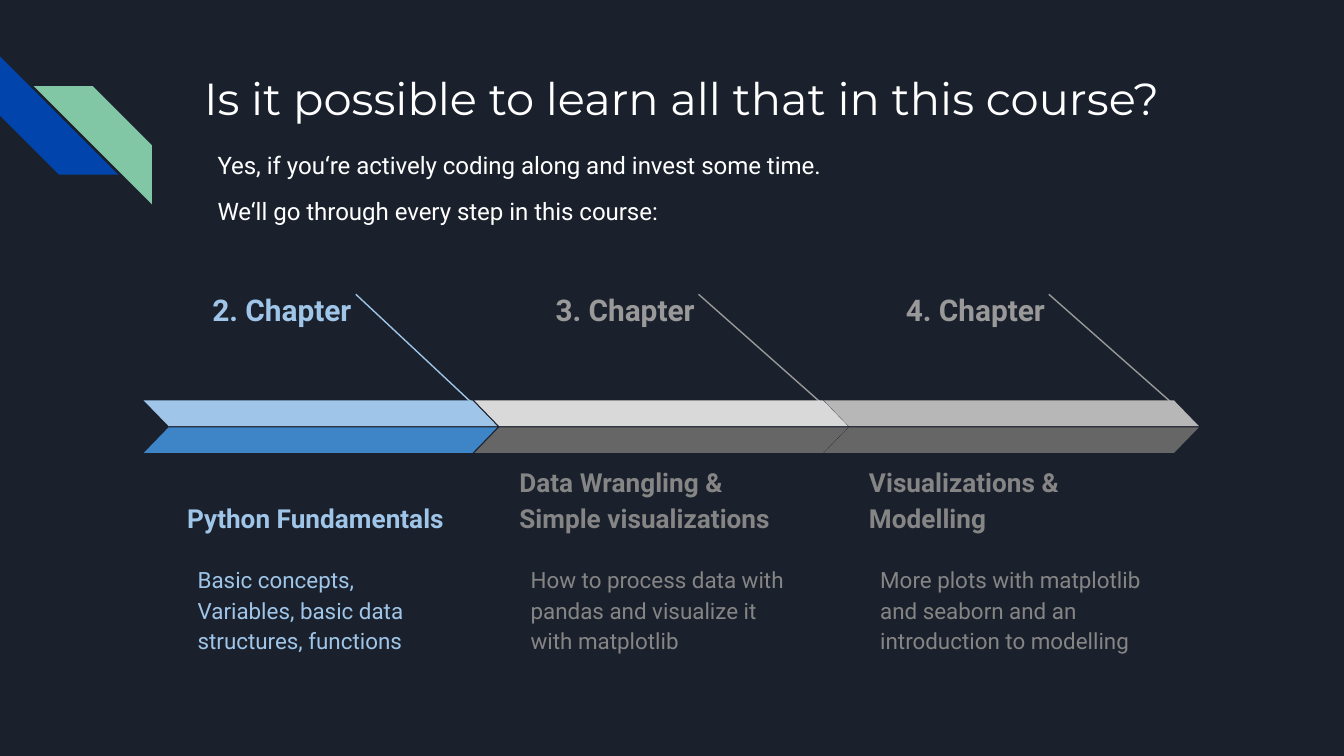
import pptx
import pptx.dml.color
import pptx.enum.shapes
import pptx.enum.text
import pptx.oxml.ns
import pptx.util
from lxml import etree

Inches = pptx.util.Inches
Pt = pptx.util.Pt
Shapes = pptx.enum.shapes.MSO_SHAPE
Align = pptx.enum.text.PP_ALIGN
Anchor = pptx.enum.text.MSO_ANCHOR

CHAPTERS = [
    {"left": 1.07, "width": 2.63, "label": "2. Chapter", "topic": "Python Fundamentals",
     "details": "Basic concepts,\vVariables, basic data structures, functions",
     "accent": "9FC5E8", "body": "9FC5E8", "upper": "9FC5E8", "lower": "3D85C6"},
    {"left": 3.53, "width": 2.78, "label": "3. Chapter",
     "topic": "Data Wrangling & Simple visualizations",
     "details": "How to process data with pandas and visualize it with matplotlib",
     "accent": "999999", "body": "858585", "upper": "D9D9D9", "lower": "666666"},
    {"left": 6.13, "width": 2.79, "label": "4. Chapter", "topic": "Visualizations & Modelling",
     "details": "More plots with matplotlib and seaborn and an introduction to modelling",
     "accent": "999999", "body": "858585", "upper": "B7B7B7", "lower": "666666"},
]


def color(hex_value):
    return pptx.dml.color.RGBColor.from_string(hex_value)


def add_text(slide, box, paragraphs, size, hex_value, font="Roboto", bold=False,
             align=Align.LEFT, anchor=Anchor.TOP, spacing=1.15, gap=0):
    shape = slide.shapes.add_textbox(*map(Inches, box))
    frame = shape.text_frame
    frame.word_wrap = True
    frame.vertical_anchor = anchor
    frame.margin_left = frame.margin_right = Inches(0.1)
    frame.margin_top = frame.margin_bottom = Inches(0.1)
    for index, text in enumerate(paragraphs):
        paragraph = frame.add_paragraph() if index else frame.paragraphs[0]
        paragraph.text = text
        paragraph.alignment = align
        paragraph.line_spacing = spacing
        if index:
            paragraph.space_before = Pt(gap)
        paragraph.font.name = font
        paragraph.font.size = Pt(size)
        paragraph.font.bold = bold
        paragraph.font.color.rgb = color(hex_value)


def add_band(slide, kind, box, adjustment, fill, flipped=False, rotation=0):
    shape = slide.shapes.add_shape(kind, *map(Inches, box))
    shape.shadow.inherit = False
    shape.adjustments[0] = adjustment
    shape.rotation = rotation
    shape.fill.solid()
    shape.fill.fore_color.rgb = color(fill)
    shape.line.fill.background()
    if flipped:
        shape._element.spPr.find(pptx.oxml.ns.qn("a:xfrm")).set("flipH", "1")


def add_line(slide, start, end, hex_value):
    connector = slide.shapes.add_connector(
        pptx.enum.shapes.MSO_CONNECTOR.STRAIGHT, *map(Inches, start + end))
    connector.line.color.rgb = color(hex_value)
    connector.line.width = Pt(0.75)
    etree.SubElement(connector._element.spPr, pptx.oxml.ns.qn("a:effectLst"))


def add_chapter(slide, chapter):
    left, width = chapter["left"], chapter["width"]

    def across(share):
        return left + share * width

    label_width = 1.36
    add_text(slide, (across(0.625) - label_width, 2.03, label_width, 0.31),
             [chapter["label"]], 16, chapter["accent"], bold=True, align=Align.RIGHT)
    add_text(slide, (across(0.085), 3.49, 0.82 * width, 0.58),
             [chapter["topic"]], 14, chapter["body"], bold=True, anchor=Anchor.BOTTOM)
    add_text(slide, (across(0.115), 4.08, 0.8 * width, 0.7),
             [chapter["details"]], 12, chapter["body"])
    add_line(slide, (across(0.6), 2.19), (across(0.99), 3.15), chapter["accent"])
    add_band(slide, Shapes.PARALLELOGRAM, (left, 2.98, width, 0.19), 0.97,
             chapter["upper"], flipped=True)
    add_band(slide, Shapes.PARALLELOGRAM, (left, 3.18, width, 0.19), 0.97, chapter["lower"])


def main():
    presentation = pptx.Presentation()
    presentation.slide_width = Inches(10)
    presentation.slide_height = Inches(10) * 9 // 16
    slide = presentation.slides.add_slide(presentation.slide_layouts[6])
    slide.background.fill.solid()
    slide.background.fill.fore_color.rgb = color("1B212C")

    add_band(slide, Shapes.DIAGONAL_STRIPE, (0, 0.42, 0.88, 0.88), 0.5, "0145AC", rotation=270)
    add_band(slide, Shapes.DIAGONAL_STRIPE, (0.25, 0.64, 0.88, 0.88), 0.5, "82C7A5",
             flipped=True)
    add_text(slide, (1.42, 0.43, 7.7, 1), ["Is it possible to learn all that in this course?"],
             24, "FFFFFF", font="Montserrat", spacing=1)
    for chapter in CHAPTERS:
        add_chapter(slide, chapter)
    add_text(slide, (1.52, 1.06, 6.28, 0.74),
             ["Yes, if you‘re actively coding along and invest some time.",
              "We‘ll go through every step in this course:"],
             12.9, "FFFFFF", spacing=0.8, gap=12.3)
    presentation.save("out.pptx")


if __name__ == "__main__":
    main()
